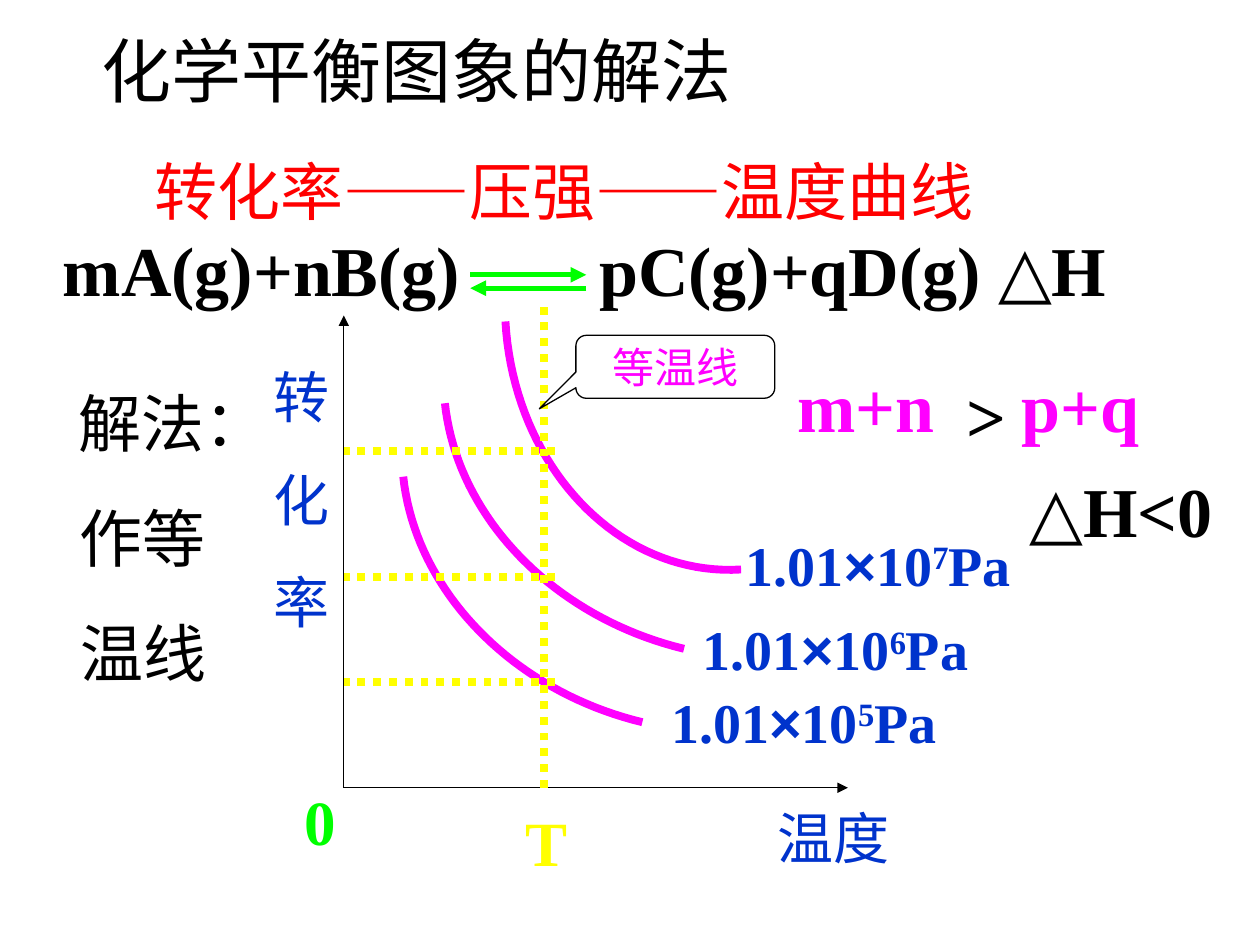
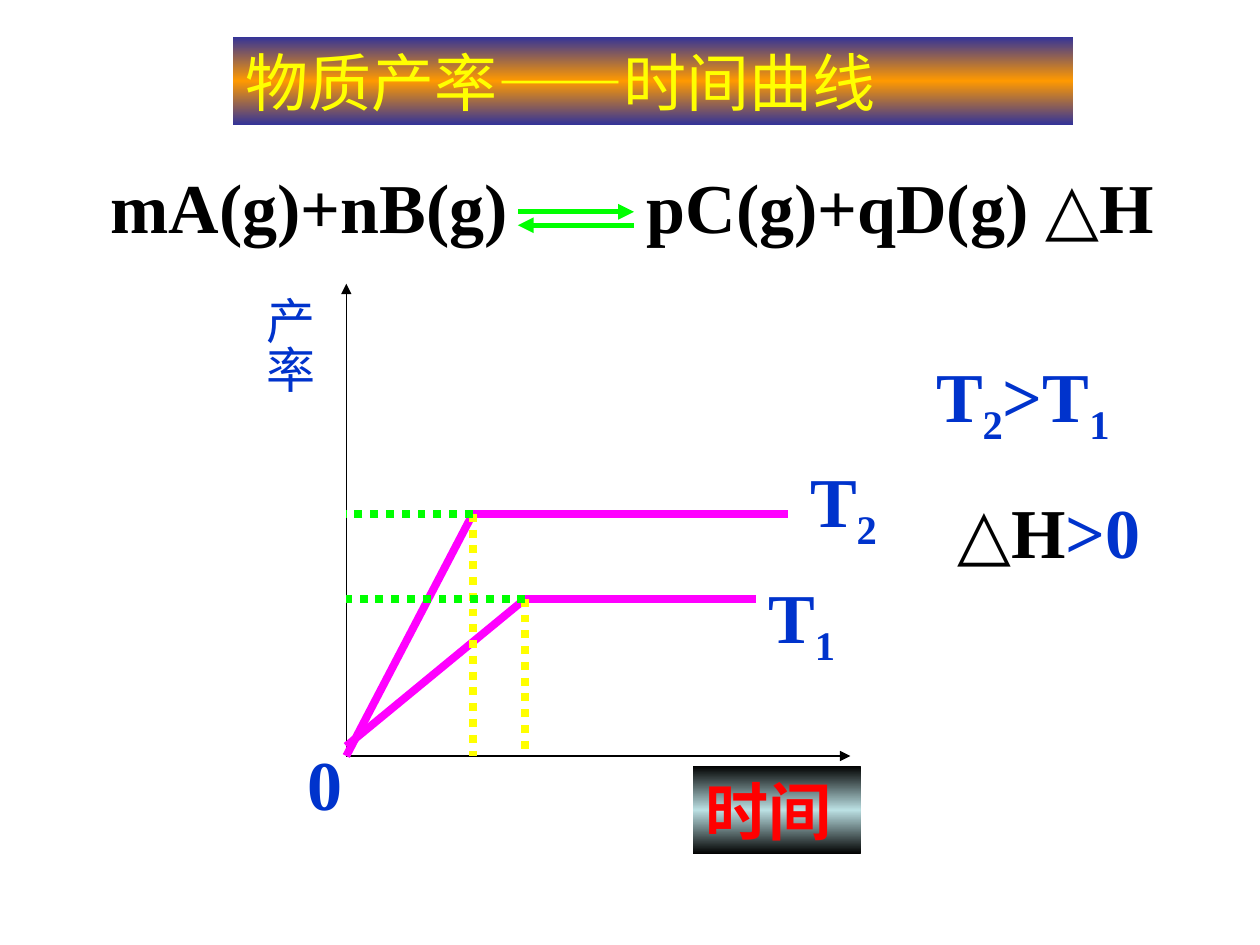
from copy import deepcopy

from lxml import etree
from pptx import Presentation
from pptx.dml.color import RGBColor
from pptx.enum.dml import MSO_LINE
from pptx.enum.shapes import MSO_CONNECTOR, MSO_SHAPE
from pptx.enum.text import MSO_ANCHOR, MSO_AUTO_SIZE, PP_ALIGN
from pptx.oxml.ns import qn
from pptx.util import Cm, Pt

STRAIGHT = MSO_CONNECTOR.STRAIGHT
DOTTED = MSO_LINE.ROUND_DOT
LEFT, CENTER = PP_ALIGN.LEFT, PP_ALIGN.CENTER
TOP, MIDDLE = MSO_ANCHOR.TOP, MSO_ANCHOR.MIDDLE
GROW, FIXED = MSO_AUTO_SIZE.SHAPE_TO_FIT_TEXT, MSO_AUTO_SIZE.NONE

SERIF, SANS, CJK = "Times New Roman", "Arial", "Noto Sans CJK SC"
BLACK, WHITE, RED, BLUE = "000000", "FFFFFF", "FF0000", "0033CC"
GREEN, YELLOW, MAGENTA = "00FF00", "FFFF00", "FF00FF"
THICK, ARROW, THIN = 4.5, 3, 0.75
TITLE_ONLY = 5
CURVE_STEPS = 40


def rgb(colour):
    return RGBColor.from_string(colour)


# Text
def write(shape, paras, size, colour=BLACK, bold=False, name=SERIF, wrap=True,
          align=LEFT, anchor=TOP, grow=True, gap=0, indent=0, tab=0):
    """Each para is a string or a list of (text, run options) spans."""
    frame = shape.text_frame
    frame.word_wrap = wrap
    frame.vertical_anchor = anchor
    frame.auto_size = GROW if grow else FIXED
    for index, spans in enumerate(paras):
        para = frame.add_paragraph() if index else frame.paragraphs[0]
        para.alignment = align
        properties = para._p.get_or_add_pPr()
        if indent:
            properties.set("marL", str(Cm(indent)))
        if index:
            para.space_before = Pt(gap)
        if tab:
            tabs = etree.SubElement(properties, qn("a:tabLst"))
            etree.SubElement(tabs, qn("a:tab"), pos=str(Cm(tab)), algn="l")
        font = para.font
        font.size, font.bold, font.name = Pt(size), bold, name
        font.color.rgb = rgb(colour)
        for text, options in [(spans, {})] if isinstance(spans, str) else spans:
            add_span(para, text, **options)


def add_span(para, text, name=None, colour=None, baseline=0):
    span = para.add_run()
    span.text = text
    if name:
        span.font.name = name
    if colour:
        span.font.color.rgb = rgb(colour)
    if baseline:
        span._r.get_or_add_rPr().set("baseline", str(baseline * 1000))


def add_text(page, left, top, width, height, paras, size, colour=BLACK, **options):
    box = page.shapes.add_textbox(Cm(left), Cm(top), Cm(width), Cm(height))
    write(box, paras, size, colour, **options)
    return box


def place_title(page, left, top, width, height, text, size, colour, name=SERIF):
    title = page.shapes.title
    title.left, title.top = Cm(left), Cm(top)
    title.width, title.height = Cm(width), Cm(height)
    write(title, [text], size, colour, name=name, grow=False)
    return title


# Lines and fills
def add_line(page, start, end, colour, width=THICK, dotted=False, arrow=False):
    line = page.shapes.add_connector(STRAIGHT, *map(Cm, start + end))
    line.line.color.rgb = rgb(colour)
    line.line.width = Pt(width)
    if dotted:
        line.line.dash_style = DOTTED
    properties = line._element.spPr
    if arrow:
        etree.SubElement(properties.find(qn("a:ln")), qn("a:tailEnd"), type="triangle")
    etree.SubElement(properties, qn("a:effectLst"))


def add_curve(page, points):
    """Draw a cubic curve from its four control points."""
    def position(t):
        weights = ((1 - t) ** 3, 3 * t * (1 - t) ** 2, 3 * t * t * (1 - t), t ** 3)
        return tuple(int(Cm(sum(w * p[axis] for w, p in zip(weights, points))))
                     for axis in (0, 1))

    dots = [position(step / CURVE_STEPS) for step in range(CURVE_STEPS + 1)]
    builder = page.shapes.build_freeform(*dots[0])
    builder.add_line_segments(dots[1:], close=False)
    curve = builder.convert_to_shape()
    curve.shadow.inherit = False
    curve.fill.background()
    curve.line.color.rgb = rgb(MAGENTA)
    curve.line.width = Pt(THICK)


def fill_band(shape, edge, middle):
    """Vertical gradient: edge colour, middle colour, edge colour."""
    shape.fill.gradient()
    shape.fill.gradient_angle = 90
    first, second = shape.fill.gradient_stops
    first.color.rgb, first.position = rgb(edge), 0
    second.color.rgb, second.position = rgb(middle), 0.5
    stops = shape._element.spPr.find(qn("a:gradFill")).find(qn("a:gsLst"))
    last = deepcopy(stops[0])
    last.set("pos", "100000")
    stops.append(last)


# Parts both slides share
def add_axes(page, x, y):
    for end in ((x, y - 9.52), (x + 10.16, y)):
        add_line(page, (x, y), end, BLACK, THIN, arrow=True)


def add_equation(page, left, top):
    add_text(page, left, top, 22.86, 1.96, ["mA(g)+nB(g)\tpC(g)+qD(g) △H"], 40,
             bold=True, tab=10.81)
    near, far = left + 8.46, left + 10.8
    add_line(page, (near, top + 1.09), (far, top + 1.09), GREEN, ARROW, arrow=True)
    add_line(page, (far, top + 1.36), (near, top + 1.36), GREEN, ARROW, arrow=True)


def build_pressure_page(page):
    place_title(page, 1.8, 0.43, 16.31, 1.96, "化学平衡图象的解法", 40, BLACK, CJK)

    # Axes and their labels
    origin_x, origin_y = 6.93, 15.88
    add_axes(page, origin_x, origin_y)
    add_text(page, 5.26, 7.19, 1.7, 5.74, ["转", "化", "率"], 32, BLUE, gap=20)
    add_text(page, 15.42, 16.08, 2.77, 1.63, ["温度"], 32, BLUE, wrap=False)
    add_text(page, 5.89, 15.65, 1.14, 1.78, ["0"], 36, GREEN, bold=True, wrap=False)

    # Isobars and their pressures
    middle = [(8.97, 8.13), (9.22, 10.44), (11.18, 12.45), (13.79, 13.08)]
    lower = [(x - 0.84, y + 1.48) for x, y in middle]
    upper = [(14.94, 11.48), (12.47, 11.63), (10.36, 9.4), (10.19, 6.48)]
    for points in (middle, upper, lower):
        add_curve(page, points)
    for left, top, power in ((14.78, 10.57, "7"), (13.92, 12.27, "6"), (13.28, 13.74, "5")):
        pressure = [("1.01", {}), ("×", {"name": SANS}), ("10", {}),
                    (power, {"baseline": 30}), ("Pa", {})]
        add_text(page, left, top, 6.55, 1.63, [pressure], 32, BLUE, bold=True)

    # Subtitle and method
    add_text(page, 0.58, 2.95, 21.39, 1.78, ["转化率——压强——温度曲线"], 36, RED, indent=2.28)
    method = add_text(page, 1.35, 7.62, 3.35, 6.43, ["解法：", "作等", "温线"], 36, gap=22.5)
    method.rotation = -0.3

    # Guides at temperature T
    for y in (13.74, 11.63, 9.09):
        add_line(page, (11.18, y), (origin_x, y), YELLOW, dotted=True)
    add_text(page, 10.34, 16.08, 1.47, 1.78, ["T"], 36, YELLOW, bold=True)
    add_line(page, (10.97, origin_y), (10.97, 6.12), YELLOW, dotted=True)

    # Equation and conclusions
    add_equation(page, 1.02, 4.45)
    add_text(page, 15.82, 7.19, 8.05, 1.96, ["m+n\tp+q"], 40, MAGENTA, bold=True, tab=4.52)
    add_text(page, 19.23, 7.39, 1.3, 1.96, [">"], 40, bold=True, wrap=False)
    add_text(page, 20.5, 9.3, 4.88, 1.96, ["△H<0"], 40, bold=True)

    # Isotherm callout
    callout = page.shapes.add_shape(MSO_SHAPE.ROUNDED_RECTANGULAR_CALLOUT,
                                    Cm(11.61), Cm(6.76), Cm(4.01), Cm(1.27))
    callout.shadow.inherit = False
    for index, value in enumerate((-0.684, 0.667, 0.167)):
        callout.adjustments[index] = value
    callout.fill.solid()
    callout.fill.fore_color.rgb = rgb(WHITE)
    callout.line.color.rgb = rgb(BLACK)
    callout.line.width = Pt(THIN)
    write(callout, ["等温线"], 24, MAGENTA, wrap=False, align=CENTER, anchor=MIDDLE, grow=False)


def build_yield_page(page):
    title = place_title(page, 4.7, 0.74, 16.94, 1.78, "物质产率——时间曲线", 36, YELLOW)
    fill_band(title, "333399", "FF9900")

    # Axes and yield lines
    origin_x, origin_y = 6.98, 15.24
    add_axes(page, origin_x, origin_y)
    knee_1, knee_2 = (10.59, 12.07), (9.53, 10.36)
    add_line(page, knee_1, (15.24, knee_1[1]), MAGENTA)
    add_line(page, knee_2, (15.88, knee_2[1]), MAGENTA)
    add_line(page, (origin_x, origin_y), knee_2, MAGENTA)
    add_line(page, (origin_x, 15.04), knee_1, MAGENTA)

    add_equation(page, 1.98, 3.18)

    # Axis labels
    time_band = page.shapes.add_shape(MSO_SHAPE.RECTANGLE,
                                      Cm(13.97), Cm(15.44), Cm(3.38), Cm(1.78))
    time_band.shadow.inherit = False
    time_band.line.fill.background()
    fill_band(time_band, BLACK, "BBE0E3")
    write(time_band, ["时间"], 36, RED, bold=True)
    yield_label = add_text(page, 4.88, 5.72, 1.68, 2.24, ["产率"], 28, BLUE, wrap=False)
    frame = yield_label.text_frame
    frame.margin_left = frame.margin_right = Cm(0.13)
    frame.margin_top = frame.margin_bottom = Cm(0.25)
    frame._txBody.bodyPr.set("vert", "eaVert")

    # Line labels
    low = {"baseline": -25}
    for left, top, number in ((15.24, 11.43, "1"), (16.08, 9.09, "2")):
        add_text(page, left, top, 2.54, 2.18, [[("T", {}), (number, low)]], 40, BLUE, bold=True)

    # Guides to both axes
    for x, y in (knee_1, knee_2):
        add_line(page, (x, y), (x, origin_y), YELLOW, dotted=True)
    for x, y in (knee_1, knee_2):
        add_line(page, (x, y), (origin_x, y), GREEN, dotted=True)
    add_text(page, 5.94, 14.81, 1.22, 1.96, ["0"], 40, BLUE, bold=True, wrap=False)

    # Conclusions
    order = [("T", {}), ("2", low), (">T", {}), ("1", low)]
    add_text(page, 18.62, 6.98, 6.78, 2.18, [order], 40, BLUE, bold=True)
    heat = [("△H", {}), (">0", {"colour": BLUE})]
    add_text(page, 19.05, 9.73, 6.35, 1.96, [heat], 40, bold=True)


def main():
    deck = Presentation()
    deck.slide_width, deck.slide_height = Cm(25.4), Cm(19.05)
    for build in (build_pressure_page, build_yield_page):
        build(deck.slides.add_slide(deck.slide_layouts[TITLE_ONLY]))
    deck.save("out.pptx")


if __name__ == "__main__":
    main()
